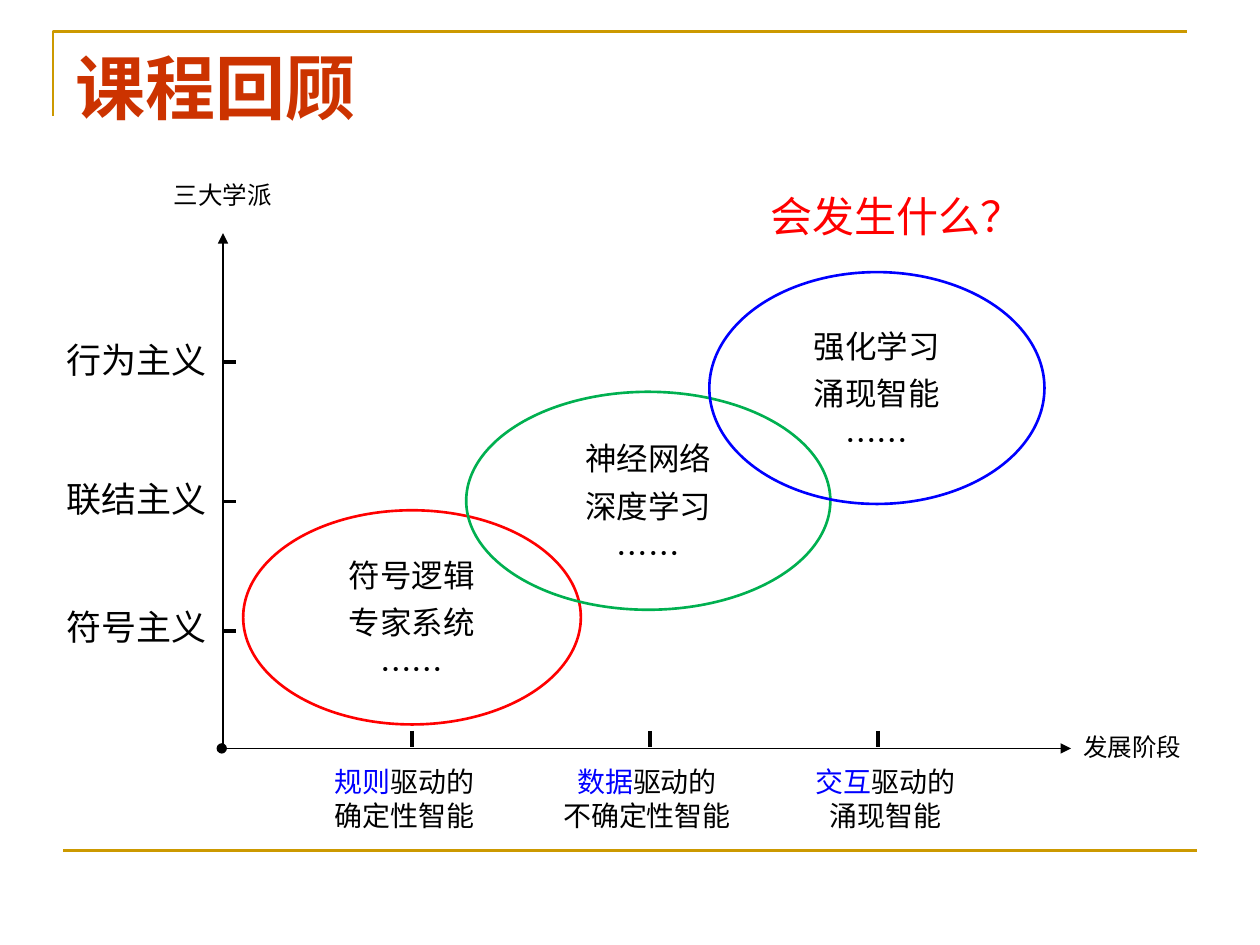
import pptx
import pptx.util
import pptx.dml.color
import pptx.enum.shapes
import pptx.enum.text
import pptx.oxml.ns
import lxml.etree

Inches = pptx.util.Inches
Pt = pptx.util.Pt
RGB = pptx.dml.color.RGBColor.from_string
Align = pptx.enum.text.PP_ALIGN
Anchor = pptx.enum.text.MSO_ANCHOR
Fit = pptx.enum.text.MSO_AUTO_SIZE
Shape = pptx.enum.shapes.MSO_SHAPE
Line = pptx.enum.shapes.MSO_CONNECTOR.STRAIGHT
qn = pptx.oxml.ns.qn

theme = {
    "font": "Noto Sans CJK SC",
    "gold": "CC9900", "title": "CC3300", "black": "000000",
    "red": "FF0000", "green": "00B050", "blue": "0000FF",
    "head": 40, "ask": 24, "school": 20, "topic": 18, "stage": 16, "axis": 14,
}


def write(frame, rows, size, align=Align.LEFT, space=None, bold=None):
    for i, row in enumerate(rows):
        para = frame.paragraphs[0] if i == 0 else frame.add_paragraph()
        para.alignment = align
        if space:
            para.line_spacing = space
        for text, color in row:
            run = para.add_run()
            run.text = text
            run.font.size = Pt(theme[size])
            run.font.bold = bold
            run.font.color.rgb = RGB(theme[color])
            run.font.name = theme["font"]
            east = lxml.etree.SubElement(run.font._element, qn("a:ea"))
            east.set("typeface", theme["font"])


def draw(x1, y1, x2, y2, color, width, head=None, tail=None):
    line = slide.shapes.add_connector(Line, Inches(x1), Inches(y1), Inches(x2), Inches(y2))
    line.line.color.rgb = RGB(theme[color])
    line.line.width = Pt(width)
    edge = line.line._get_or_add_ln()
    for tag, kind in (("a:headEnd", head), ("a:tailEnd", tail)):
        if kind:
            lxml.etree.SubElement(edge, qn(tag)).set("type", kind)
    lxml.etree.SubElement(line._element.spPr, qn("a:effectLst"))


deck = pptx.Presentation()
deck.slide_width, deck.slide_height = Inches(10), Inches(7.5)
slide = deck.slides.add_slide(deck.slide_layouts[5])

title = slide.shapes.title
title.left, title.top = Inches(0.5), Inches(0.3)
title.width, title.height = Inches(9), Inches(1.25)
title.text_frame.vertical_anchor = Anchor.TOP
title.text_frame.auto_size = Fit.NONE
write(title.text_frame, [[("课程回顾", "title")]], "head", bold=True)

pen = slide.shapes.build_freeform(Inches(0.42), Inches(0.92))
pen.add_line_segments([(Inches(0.42), Inches(0.25)), (Inches(9.42), Inches(0.25))], close=False)
frame = pen.convert_to_shape()
frame.shadow.inherit = False
frame.fill.background()
frame.line.color.rgb = RGB(theme["gold"])
frame.line.width = Pt(1.5)

draw(0.5, 6.75, 9.5, 6.75, "gold", 1.5)
draw(1.76, 5.94, 8.5, 5.94, "black", 0.75, "oval", "triangle")
draw(1.77, 5.93, 1.77, 1.85, "black", 0.75, tail="triangle")
for x in (3.27, 5.16, 6.97):
    draw(x, 5.8, x, 5.93, "black", 2.25)
for y in (2.87, 3.98, 5.01):
    draw(1.77, y, 1.87, y, "black", 2.25)

topics = [
    (1.93, 4.05, 2.68, 1.7, "red", ("符号逻辑", "专家系统", "……")),
    (3.7, 3.11, 2.89, 1.73, "green", ("神经网络", "深度学习", "……")),
    (5.63, 2.16, 2.66, 1.84, "blue", ("强化学习", "涌现智能", "……")),
]
for x, y, w, h, color, words in topics:
    oval = slide.shapes.add_shape(Shape.OVAL, Inches(x), Inches(y), Inches(w), Inches(h))
    oval.shadow.inherit = False
    oval.fill.background()
    oval.line.color.rgb = RGB(theme[color])
    oval.line.width = Pt(1.5)
    oval.text_frame.word_wrap = False
    oval.text_frame.vertical_anchor = Anchor.MIDDLE
    write(oval.text_frame, [[(word, "black")] for word in words], "topic", Align.CENTER, 1.25)

labels = [
    (8.5, 5.76, 0.99, 0.34, "axis", Align.LEFT, [[("发展阶段", "black")]]),
    (1.28, 1.38, 0.99, 0.34, "axis", Align.LEFT, [[("三大学派", "black")]]),
    (6.02, 1.46, 2.22, 0.51, "ask", Align.LEFT, [[("会发生什么？", "red")]]),
]
for y, school in ((2.64, "行为主义"), (3.74, "联结主义"), (4.76, "符号主义")):
    labels.append((0.43, y, 1.32, 0.44, "school", Align.LEFT, [[(school, "black")]]))
stages = [
    (2.56, 1.34, Align.LEFT, "规则", "确定性智能"),
    (4.36, 1.55, Align.CENTER, "数据", "不确定性智能"),
    (6.37, 1.32, Align.CENTER, "交互", "涌现智能"),
]
for x, w, align, force, mind in stages:
    rows = [[(force, "blue"), ("驱动的", "black")], [(mind, "black")]]
    labels.append((x, 6.02, w, 0.64, "stage", align, rows))
for x, y, w, h, size, align, rows in labels:
    box = slide.shapes.add_textbox(Inches(x), Inches(y), Inches(w), Inches(h))
    box.text_frame.word_wrap = False
    box.text_frame.auto_size = Fit.SHAPE_TO_FIT_TEXT
    write(box.text_frame, rows, size, align)

deck.save("out.pptx")
